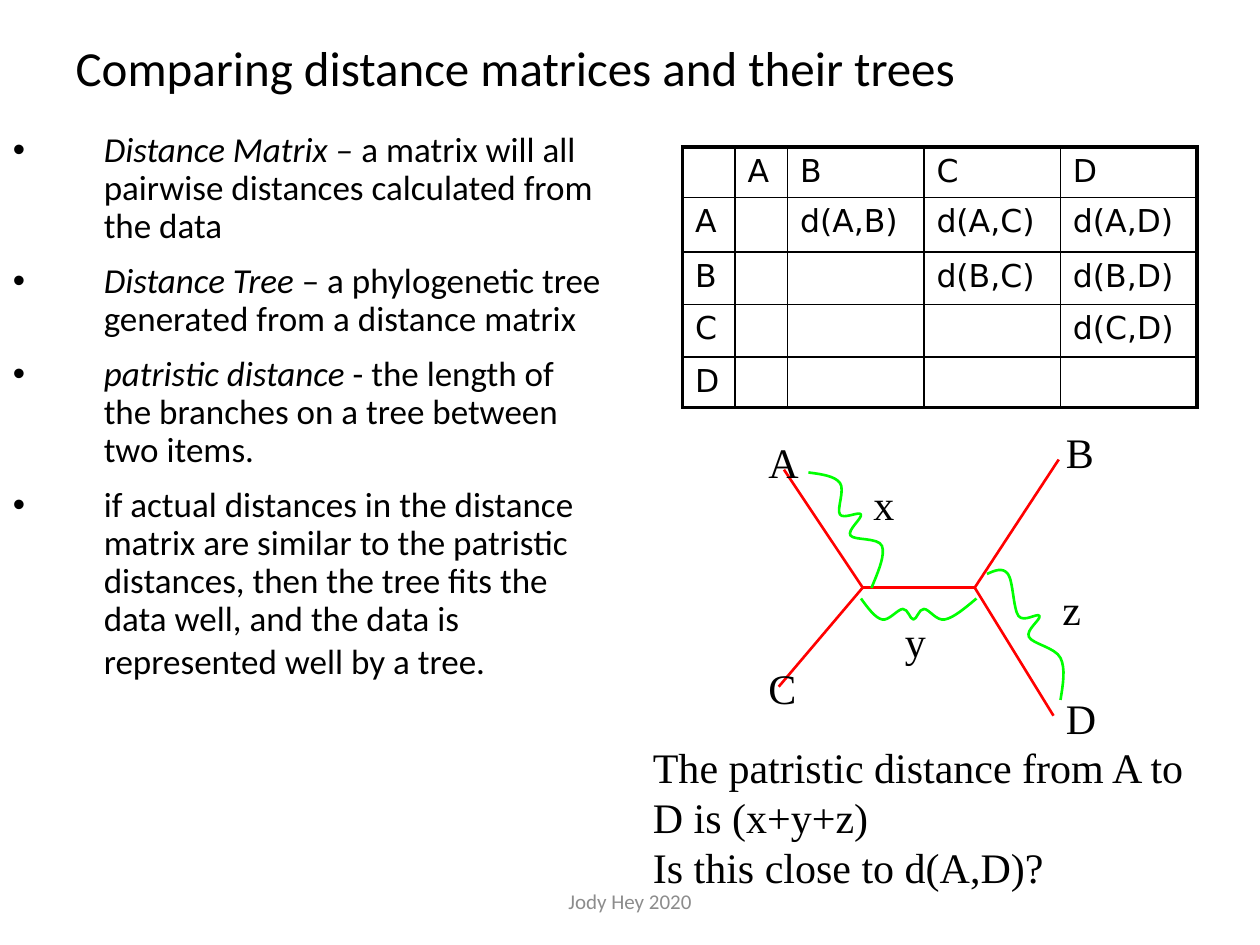
from dataclasses import dataclass
from lxml.etree import SubElement
from pptx import Presentation
from pptx.dml.color import RGBColor
from pptx.enum.shapes import MSO_CONNECTOR
from pptx.enum.text import MSO_ANCHOR, MSO_AUTO_SIZE, PP_ALIGN
from pptx.oxml.ns import qn
from pptx.util import Pt


@dataclass(frozen=True)
class Theme:
    ink: str = "000000"
    branch: str = "FF0000"
    wave: str = "00FF00"
    gray: str = "8C8C8C"
    sans: str = "Calibri"
    grid: str = "DejaVu Sans"
    serif: str = "Times New Roman"
    title: int = 28
    large: int = 24
    body: int = 20
    cell: int = 18
    foot: int = 12
    thin: float = 1
    line: float = 1.5
    thick: float = 2.25


T = Theme()

# Each bullet: italic term, then plain text
BULLETS = [
    ("Distance Matrix – ", "a matrix will all pairwise distances calculated from the data"),
    ("Distance Tree ", "– a phylogenetic tree generated from a distance matrix"),
    ("patristic distance", " - the length of the branches on a tree between two items."),
    ("", "if actual distances in the distance matrix are similar to the patristic "
         "distances, then the tree fits the data well, and the data is "
         "represented well by a tree."),
]
TAXA = "ABCD"
COLS = [30, 30, 78, 78, 78]
ROWS = [28.8, 31.2, 30, 30, 28.8]

# Tree: inner nodes, tips and the corners of the tip labels
WEST, EAST = (493, 335.8), (557, 335.8)
EDGES = [((445, 392.4), WEST), (WEST, (448, 268.4)), (WEST, EAST),
         (EAST, (602, 409)), (EAST, (605, 262.6))]
TIPS = {"A": (432, 245.8), "B": (602, 240), "C": (432, 375), "D": (602, 392.4)}
PARTS = {"x": (492, 270), "y": (510, 348), "z": (600, 330)}
WAVES = [
    [(462, 270), (480, 276), (480, 294), (492, 294), (486, 306), (504, 312), (498, 336)],
    [(558, 342), (540, 354), (528, 348), (522, 354), (516, 348), (504, 354), (492, 342)],
    [(606, 400), (606, 376), (588, 364), (594, 352), (582, 352), (576, 328), (564, 328)],
]


def color(code):
    return RGBColor.from_string(code)


def style(para, face, size, code=T.ink):
    font = para.font
    font.name, font.size = face, Pt(size)
    font.color.rgb = color(code)


def add_box(shapes, left, top, width, height, wrap=True):
    frame = shapes.add_textbox(Pt(left), Pt(top), Pt(width), Pt(height)).text_frame
    frame.word_wrap = wrap
    return frame


def add_text(shapes, area, lines, face, size, code=T.ink, wrap=True):
    frame = add_box(shapes, *area, wrap)
    for num, text in enumerate(lines):
        para = frame.add_paragraph() if num else frame.paragraphs[0]
        para.text = text
        style(para, face, size, code)
    return frame


def add_label(shapes, text, spot, width, wrap=True):
    frame = add_text(shapes, (*spot, width, 36), [text], T.serif, T.large, wrap=wrap)
    frame.auto_size = MSO_AUTO_SIZE.SHAPE_TO_FIT_TEXT


def add_list(shapes):
    frame = add_box(shapes, 0.25, 72.2, 354, 438)
    for num, (term, text) in enumerate(BULLETS):
        para = frame.add_paragraph() if num else frame.paragraphs[0]
        para.line_spacing = 0.9
        if num:
            para.space_before = Pt(10)
        props = para._p.get_or_add_pPr()
        props.set("marL", str(Pt(52)))
        props.set("indent", str(Pt(-52)))
        SubElement(props, qn("a:buFont")).set("typeface", "Arial")
        SubElement(props, qn("a:buChar")).set("char", "•")
        style(para, T.sans, T.body)
        if term:
            run = para.add_run()
            run.text, run.font.italic = term, True
        para.add_run().text = text
    # The larger closing space sets the height of the last line
    end = para.add_run()
    end.text, end.font.size = " ", Pt(T.large)


def set_edges(cell, row, col, last):
    props = cell._tc.get_or_add_tcPr()
    outer = {"L": col == 0, "R": col == last, "T": row == 0, "B": row == last}
    for side, bold in outer.items():
        edge = SubElement(props, qn("a:ln" + side))
        edge.set("w", str(Pt(T.thick if bold else T.thin)))
        fill = SubElement(edge, qn("a:solidFill"))
        SubElement(fill, qn("a:srgbClr")).set("val", T.ink)


def cell_text(row, col):
    if row == 0 or col == 0:
        return TAXA[row + col - 1] if row + col else ""
    return f"d({TAXA[row - 1]},{TAXA[col - 1]})" if col > row else ""


def add_matrix(shapes):
    count = len(COLS)
    table = shapes.add_table(count, count, Pt(390), Pt(84),
                             Pt(sum(COLS)), Pt(sum(ROWS))).table
    table.first_row = table.horz_banding = False
    for num in range(count):
        table.columns[num].width = Pt(COLS[num])
        table.rows[num].height = Pt(ROWS[num])
    for row in range(count):
        for col in range(count):
            cell = table.cell(row, col)
            set_edges(cell, row, col, count - 1)
            cell.fill.background()
            cell.text = cell_text(row, col)
            style(cell.text_frame.paragraphs[0], T.grid, T.cell)


def add_edge(shapes, start, end):
    edge = shapes.add_connector(MSO_CONNECTOR.STRAIGHT, *map(Pt, start + end))
    edge.line.color.rgb = color(T.branch)
    edge.line.width = Pt(T.line)
    SubElement(edge._element.spPr, qn("a:effectLst"))


def curves(knots):
    """Two handles and an end for each span of a smooth curve."""
    def mid(p, q):
        return tuple((a + b) / 2 for a, b in zip(p, q))

    def lean(num, sign):
        return tuple(k + sign * (b - a) / 6 for a, k, b in
                     zip(knots[num - 1], knots[num], knots[num + 1]))

    final = len(knots) - 2
    for num in range(final + 1):
        start, end = knots[num], knots[num + 1]
        one = lean(num, 1) if num else mid(start, lean(1, -1))
        two = lean(num + 1, -1) if num < final else mid(one, end)
        yield one, two, end


def add_wave(shapes, knots):
    pen = shapes.build_freeform(*map(Pt, knots[0]))
    pen.add_line_segments([tuple(map(Pt, knot)) for knot in knots[1:]], close=False)
    wave = pen.convert_to_shape()
    # Bend each straight span into a cubic one
    spans = list(wave._element.iter(qn("a:lnTo")))
    for span, spots in zip(spans, curves(knots)):
        bend = span.getparent().makeelement(qn("a:cubicBezTo"))
        for x, y in spots:
            dot = SubElement(bend, qn("a:pt"))
            dot.set("x", str(Pt(x) - wave.left))
            dot.set("y", str(Pt(y) - wave.top))
        span.getparent().replace(span, bend)
    wave.shadow.inherit = False
    wave.fill.background()
    wave.line.color.rgb = color(T.wave)
    wave.line.width = Pt(T.line)


def main():
    deck = Presentation()
    deck.slide_width, deck.slide_height = Pt(720), Pt(540)
    shapes = deck.slides.add_slide(deck.slide_layouts[6]).shapes

    # Title, definitions and matrix
    head = add_text(shapes, (36.2, 12.4, 648, 56),
                    ["Comparing distance matrices and their trees"], T.sans, T.title)
    head.vertical_anchor = MSO_ANCHOR.MIDDLE
    head.paragraphs[0].line_spacing = 0.9
    add_list(shapes)
    add_matrix(shapes)

    # Tree with its tips
    tree = shapes.add_group_shape().shapes
    for start, end in EDGES:
        add_edge(tree, start, end)
    for name, spot in TIPS.items():
        add_label(tree, name, spot, 30)

    # Path from A to D
    for name, spot in PARTS.items():
        add_label(shapes, name, spot, 26, wrap=False)
    for knots in WAVES:
        add_wave(shapes, knots)

    # Question and footer
    note = add_text(shapes, (366, 420, 318, 108),
                    ["The patristic distance from A to D is (x+y+z)",
                     "Is this close to d(A,D)?"], T.serif, T.large)
    note.auto_size = MSO_AUTO_SIZE.SHAPE_TO_FIT_TEXT
    foot = add_text(shapes, (238.5, 500.5, 243, 28.75), ["Jody Hey 2020"],
                    T.sans, T.foot, T.gray)
    foot.vertical_anchor = MSO_ANCHOR.MIDDLE
    foot.paragraphs[0].alignment = PP_ALIGN.CENTER

    deck.save("out.pptx")


if __name__ == "__main__":
    main()
